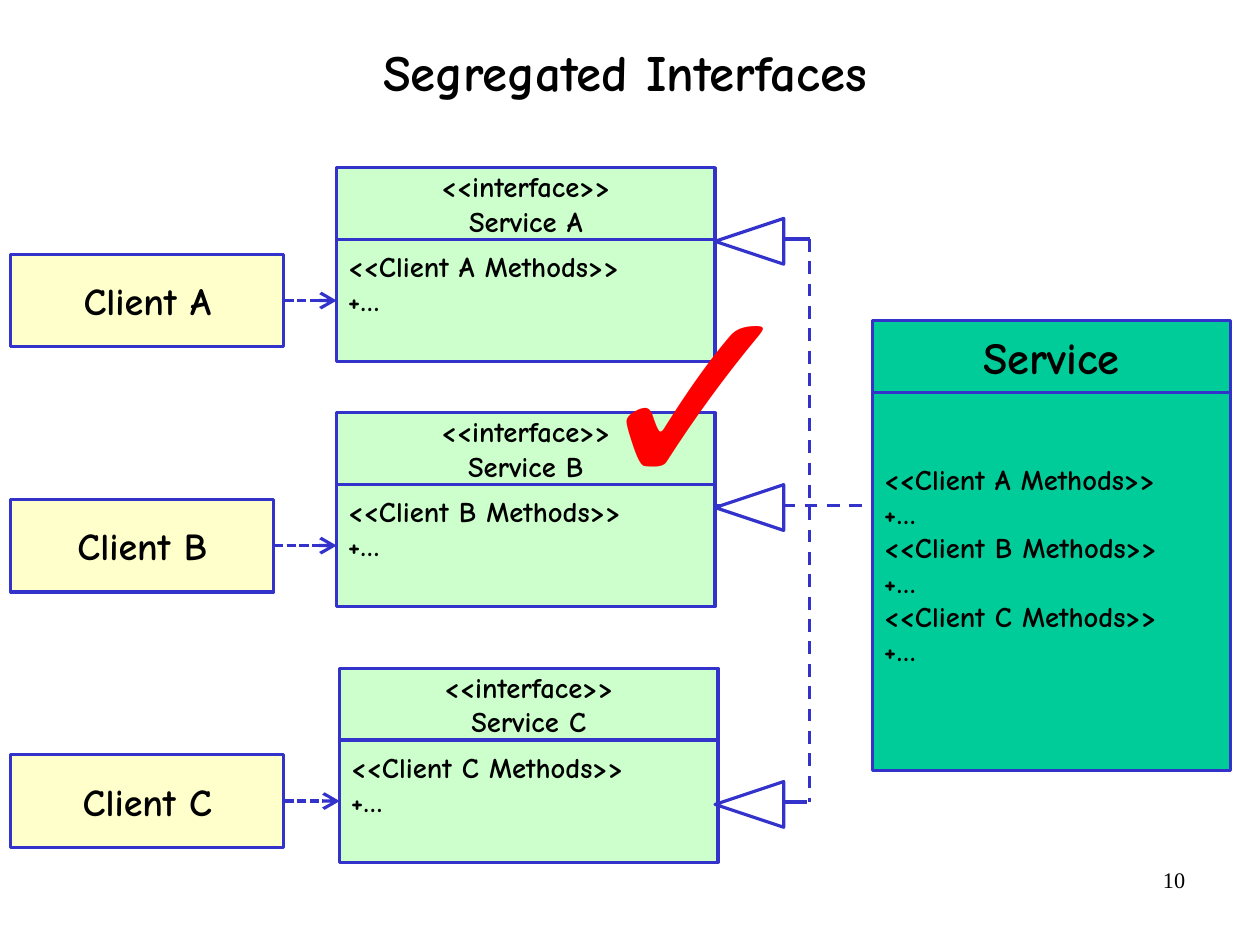
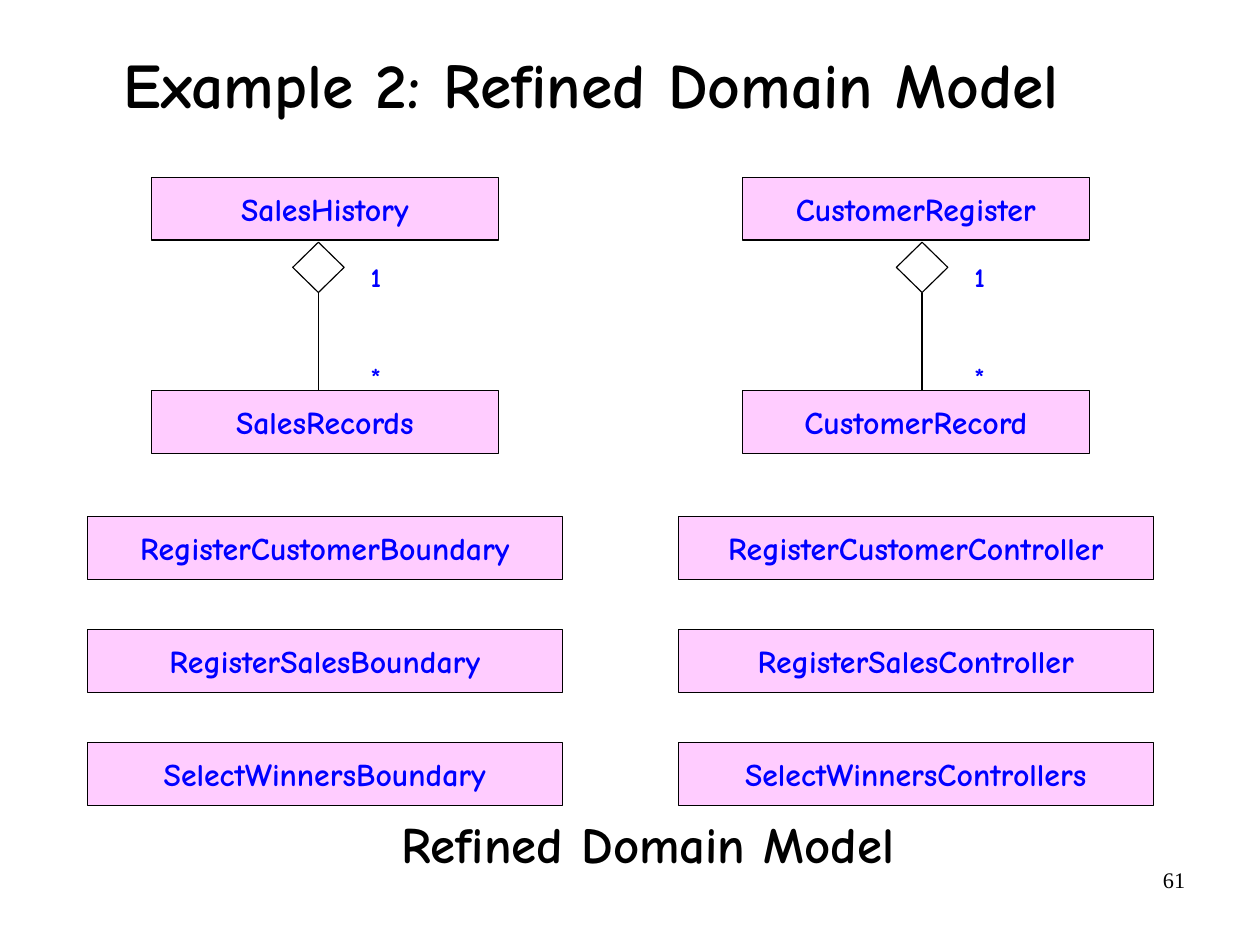
import dataclasses

import lxml.etree
import pptx
import pptx.dml.color
import pptx.enum.dml
import pptx.enum.shapes
import pptx.enum.text
import pptx.oxml.ns
import pptx.util

Pt = pptx.util.Pt
SHAPE = pptx.enum.shapes.MSO_SHAPE
ALIGN = pptx.enum.text.PP_ALIGN
ANCHOR = pptx.enum.text.MSO_ANCHOR
FIT = pptx.enum.text.MSO_AUTO_SIZE
DASH = pptx.enum.dml.MSO_LINE
TOP, LEFT, BOTTOM, RIGHT = range(4)


@dataclasses.dataclass(frozen=True)
class Theme:
    font: str = "Comic Neue"
    number_font: str = "Times New Roman"
    check_font: str = "Arial"
    ink: str = "000000"
    white: str = "FFFFFF"
    outline: str = "3333CC"
    client: str = "FFFFCC"
    interface: str = "CCFFCC"
    service: str = "00CC99"
    entity: str = "FFCCFF"
    entity_text: str = "0000FF"
    check: str = "FF0000"
    thick: float = 2
    thin: float = 0.75
    title_size: int = 32
    large_title_size: int = 40
    service_size: int = 28
    client_size: int = 24
    entity_size: int = 20
    member_size: int = 18
    multiplicity_size: int = 17
    number_size: int = 14
    check_size: int = 166
    insets: tuple = (7.2, 3.6, 7.2, 3.6)
    member_insets: tuple = (7.2, 3.6, 7.2, 25.2)
    label_insets: tuple = (7.9, 4.3, 7.9, 4.3)
    no_insets: tuple = (0, 0, 0, 0)


T = Theme()


def rgb(value):
    return pptx.dml.color.RGBColor.from_string(value)


def write(tf, text, size, color=T.ink, align=ALIGN.CENTER, anchor=ANCHOR.MIDDLE,
          insets=T.insets, font=T.font, bold=True, wrap=True, fit=FIT.NONE):
    tf.text = text
    tf.word_wrap = wrap
    tf.auto_size = fit
    tf.vertical_anchor = anchor
    tf.margin_left, tf.margin_top, tf.margin_right, tf.margin_bottom = map(Pt, insets)
    for p in tf.paragraphs:
        p.alignment = align
        for r in p.runs:
            r.font.name = font
            r.font.size = Pt(size)
            r.font.bold = bold
            r.font.color.rgb = rgb(color)


def add_shape(s, kind, x, y, w, h, fill, line=T.outline, width=T.thick):
    sp = s.shapes.add_shape(kind, Pt(x), Pt(y), Pt(w), Pt(h))
    sp.shadow.inherit = False
    if fill:
        sp.fill.solid()
        sp.fill.fore_color.rgb = rgb(fill)
    else:
        sp.fill.background()
    sp.line.color.rgb = rgb(line)
    sp.line.width = Pt(width)
    return sp


def add_uml_box(s, x, y, w, h, fill, text, size, **style):
    sp = add_shape(s, SHAPE.RECTANGLE, x, y, w, h, fill)
    write(sp.text_frame, text, size, **style)
    return sp


def add_entity(s, center, y, w, text):
    h = 39.6
    sp = add_shape(s, SHAPE.RECTANGLE, center - w / 2, y, w, h, T.entity, T.ink, T.thin)
    write(sp.text_frame, text, T.entity_size, T.entity_text, insets=T.no_insets)


def add_text(s, x, y, w, h, text, size, **style):
    tb = s.shapes.add_textbox(Pt(x), Pt(y), Pt(w), Pt(h))
    write(tb.text_frame, text, size, anchor=ANCHOR.TOP, **style)


def add_label(s, x, y, w, h, text, size, color=T.ink):
    add_text(s, x, y, w, h, text, size, color=color, align=ALIGN.LEFT,
             insets=T.label_insets, wrap=False, fit=FIT.SHAPE_TO_FIT_TEXT)


def add_line(s, x1, y1, x2, y2, color=T.outline, width=T.thick, dash=None, arrow=False):
    c = s.shapes.add_connector(pptx.enum.shapes.MSO_CONNECTOR.STRAIGHT,
                               Pt(x1), Pt(y1), Pt(x2), Pt(y2))
    c.line.color.rgb = rgb(color)
    c.line.width = Pt(width)
    if dash:
        c.line.dash_style = dash
    if arrow:
        ln = c.line._get_or_add_ln()
        lxml.etree.SubElement(ln, pptx.oxml.ns.qn("a:tailEnd"), type="arrow",
                              w="lg", len="lg")
    lxml.etree.SubElement(c._element.spPr, pptx.oxml.ns.qn("a:effectLst"))
    return c


def add_slide(prs, title, number, box, size, spacing):
    s = prs.slides.add_slide(prs.slide_layouts[5])
    sp = s.shapes.title
    sp.left, sp.top, sp.width, sp.height = map(Pt, box)
    write(sp.text_frame, title, size, insets=T.no_insets)
    sp.text_frame.paragraphs[0].line_spacing = spacing
    add_text(s, 568.8, 542, 185, 41, number, T.number_size, align=ALIGN.RIGHT,
             font=T.number_font, bold=False)
    return s


def add_class(s, x, y, w, body_h, fill, name, name_size, members):
    head_h = 45.2
    body = add_uml_box(s, x, y + head_h, w, body_h, fill, "\n".join(members), T.member_size,
                       align=ALIGN.LEFT, insets=T.member_insets)
    add_uml_box(s, x, y, w, head_h, fill, name, name_size)
    return body


def methods(letter):
    return [f"<<Client {letter} Methods>>", "+…"]


def add_dependency(s, letter, y, client_w, interface_x):
    client_h = 58.3
    body = add_class(s, interface_x, y, 238.3, 77, T.interface,
                     f"<<interface>>\nService {letter}", T.member_size, methods(letter))
    client_y = (body.top + body.height / 2) / Pt(1) - client_h / 2
    client = add_uml_box(s, 6.9, client_y, client_w, client_h, T.client,
                         f"Client {letter}", T.client_size)
    c = add_line(s, 0, 0, 0, 0, dash=DASH.SQUARE_DOT, arrow=True)
    c.begin_connect(client, RIGHT)
    c.end_connect(body, LEFT)


def add_realizations(s, service_x):
    tip_x, bus_x = 450.5, 510
    w, h = 28.8, 43.2
    top, middle, bottom = 150.5, 318.2, 505.2
    add_line(s, bus_x, top, bus_x, bottom, dash=DASH.DASH)
    add_line(s, bus_x, top, 477.4, top)
    add_line(s, 508.3, bottom, 470.2, bottom)
    add_line(s, tip_x, middle, service_x, middle, dash=DASH.DASH)
    for y in (top, middle, bottom):
        sp = add_shape(s, SHAPE.ISOSCELES_TRIANGLE, tip_x + (h - w) / 2, y + 1.5 - h / 2,
                       w, h, T.white)
        sp.rotation = 270


def add_aggregation(s, center, axis, whole, part):
    part_y = 246
    add_entity(s, center, 111.6, 218.9, whole)
    add_entity(s, center, part_y, 218.9, part)
    w = 32.4
    diamond = add_shape(s, SHAPE.DIAMOND, axis - w / 2, 152.6, w, 31.7, None, T.ink, T.thin)
    c = add_line(s, axis, 184.3, axis, part_y, T.ink, T.thin)
    c.begin_connect(diamond, BOTTOM)
    for y, text in ((159.5, "1"), (222.9, "*")):
        add_label(s, axis + 25, y, 22.3, 28.1, text, T.multiplicity_size, T.entity_text)


def build_interfaces(prs):
    s = add_slide(prs, "Segregated Interfaces", "10", (36.7, 20.9, 714.2, 53.3),
                  T.title_size, 0.88)
    service_x = 549.8
    add_class(s, service_x, 202.1, 225.4, 238.3, T.service, "Service", T.service_size,
              [m for letter in "ABC" for m in methods(letter)])
    for row in (("A", 105.6, 172, 212.1), ("B", 260, 165.6, 212.1), ("C", 420.9, 172, 214)):
        add_dependency(s, *row)
    add_realizations(s, service_x)
    add_text(s, 362.9, 140.4, 99.4, 206.6, "✓", T.check_size, color=T.check,
             align=ALIGN.LEFT, font=T.check_font, fit=FIT.SHAPE_TO_FIT_TEXT)


def build_domain_model(prs):
    s = add_slide(prs, "Example 2: Refined Domain Model", "61", (35.3, 3.6, 674.6, 102.2),
                  T.large_title_size, 0.94)
    add_label(s, 244.8, 507.6, 326.9, 46.1, "Refined Domain Model", T.title_size)
    columns = (
        (204.7, 200.6, "SalesHistory", "SalesRecords",
         ("RegisterCustomerBoundary", "RegisterSalesBoundary", "SelectWinnersBoundary")),
        (577, 580.9, "CustomerRegister", "CustomerRecord",
         ("RegisterCustomerController", "RegisterSalesController", "SelectWinnersControllers")),
    )
    for center, axis, whole, part, names in columns:
        add_aggregation(s, center, axis, whole, part)
        for i, name in enumerate(names):
            add_entity(s, center, 325.2 + 71.2 * i, 299.5, name)


def main():
    prs = pptx.Presentation()
    prs.slide_width, prs.slide_height = Pt(793.75), Pt(595.25)
    build_interfaces(prs)
    build_domain_model(prs)
    prs.save("out.pptx")


if __name__ == "__main__":
    main()
